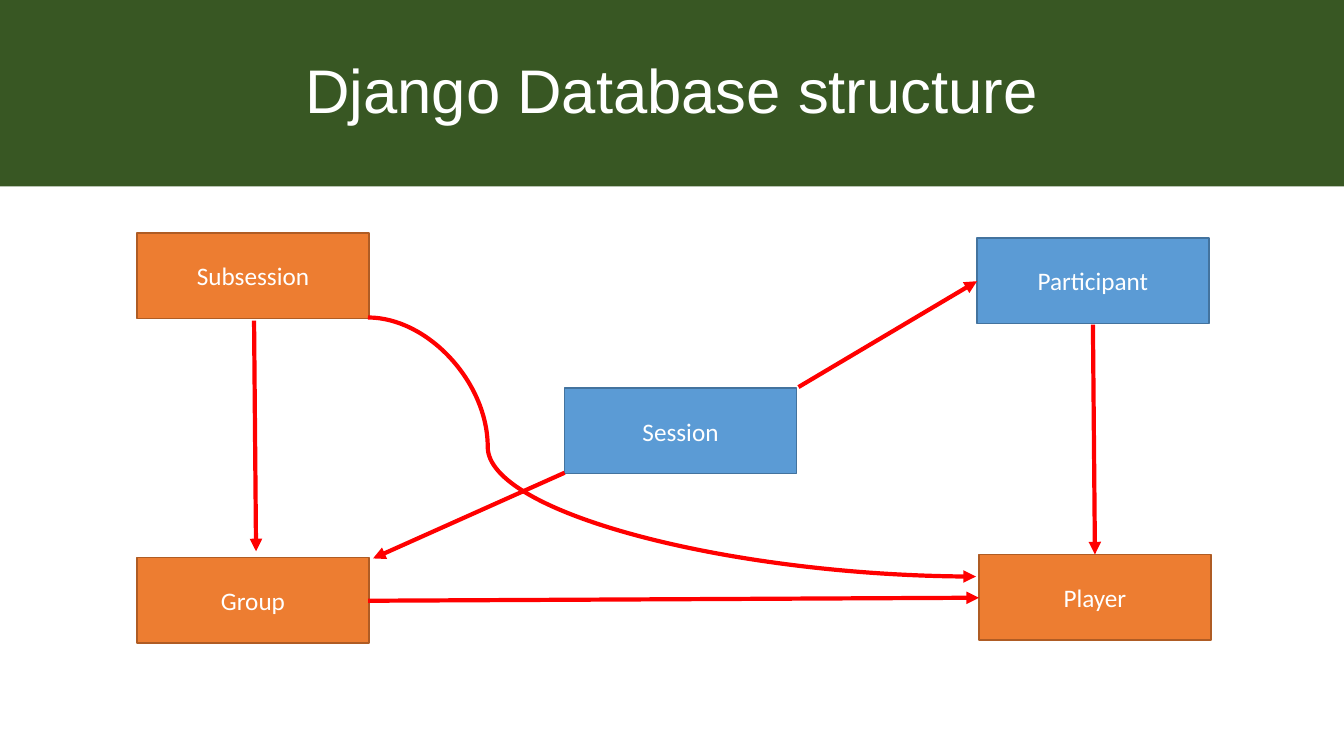
"""Build the Django database structure slide."""
from dataclasses import dataclass
from typing import Any, Optional

from lxml.etree import SubElement
from pptx import Presentation
from pptx.dml.color import RGBColor
from pptx.enum.shapes import MSO_CONNECTOR, MSO_SHAPE
from pptx.enum.text import MSO_ANCHOR, PP_ALIGN
from pptx.oxml.ns import qn
from pptx.util import Inches, Pt

COLORS = {
    "green": "385723", "white": "FFFFFF", "red": "FF0000",
    "orange": "ED7D31", "rust": "AF5C24",
    "blue": "5B9BD5", "navy": "43739E",
}
WIDTH, HEIGHT = 13.33, 7.5
BOX_W, BOX_H = 2.3, 0.85


@dataclass(frozen=True)
class Model:
    """A database model box."""
    name: str
    left: float
    top: float
    fill: str
    edge: str


@dataclass(frozen=True)
class Arrow:
    """A link between models, curved when a bend is given."""
    start: tuple[float, float]
    end: tuple[float, float]
    bend: Optional[float] = None


MODELS = [
    Model("Subsession", 1.36, 2.31, "orange", "rust"),
    Model("Player", 9.71, 5.5, "orange", "rust"),
    Model("Session", 5.6, 3.85, "blue", "navy"),
    Model("Participant", 9.69, 2.36, "blue", "navy"),
    Model("Group", 1.36, 5.53, "orange", "rust"),
]
ARROWS = [
    Arrow((7.92, 3.84), (9.69, 2.79)),
    Arrow((10.84, 3.22), (10.86, 5.5)),
    Arrow((3.65, 5.96), (9.71, 5.93)),
    Arrow((2.52, 3.18), (2.54, 5.47)),
    Arrow((5.6, 4.69), (3.7, 5.54)),
    Arrow((3.65, 3.15), (9.68, 5.72), bend=0.197),
]


def color(name: str) -> RGBColor:
    """Look up a named colour."""
    return RGBColor.from_string(COLORS[name])


def write(shape: Any, text: str, *, size: float, font: str,
          ink: str = "white", space: float = 1.0) -> None:
    """Put centred text in a shape."""
    frame = shape.text_frame
    frame.word_wrap = True
    frame.vertical_anchor = MSO_ANCHOR.MIDDLE
    para = frame.paragraphs[0]
    para.alignment = PP_ALIGN.CENTER
    para.line_spacing = space
    run = para.add_run()
    run.text = text
    run.font.size = Pt(size)
    run.font.name = font
    run.font.color.rgb = color(ink)


def paint(shape: Any, name: str) -> None:
    """Fill a shape with a solid colour."""
    shape.fill.solid()
    shape.fill.fore_color.rgb = color(name)


def add_title(slide: Any, text: str) -> None:
    """Turn the title placeholder into the top banner."""
    title = slide.shapes.title
    title.left, title.top = Inches(0), Inches(0)
    title.width, title.height = Inches(WIDTH), Inches(1.85)
    paint(title, "green")
    write(title, text, size=44, font="Arial", space=0.9)


def add_model(slide: Any, model: Model) -> None:
    """Draw a model box."""
    box = slide.shapes.add_shape(
        MSO_SHAPE.RECTANGLE, Inches(model.left), Inches(model.top),
        Inches(BOX_W), Inches(BOX_H))
    box.shadow.inherit = False
    paint(box, model.fill)
    box.line.color.rgb = color(model.edge)
    box.line.width = Pt(1)
    write(box, model.name, size=18, font="Calibri")


def add_arrow(slide: Any, arrow: Arrow) -> None:
    """Draw a red arrow."""
    kind = MSO_CONNECTOR.STRAIGHT if arrow.bend is None else MSO_CONNECTOR.CURVE
    ends = [Inches(value) for value in (*arrow.start, *arrow.end)]
    link = slide.shapes.add_connector(kind, *ends)
    link.line.color.rgb = color("red")
    link.line.width = Pt(3)
    props = link.element.spPr
    SubElement(props.find(qn("a:ln")), qn("a:tailEnd"), type="triangle")
    SubElement(props, qn("a:effectLst"))
    if arrow.bend is not None:
        guides = props.find(qn("a:prstGeom")).find(qn("a:avLst"))
        SubElement(guides, qn("a:gd"), name="adj1",
                   fmla=f"val {round(arrow.bend * 100000)}")


def main() -> None:
    """Build and save the deck."""
    deck = Presentation()
    deck.slide_width, deck.slide_height = Inches(WIDTH), Inches(HEIGHT)
    slide = deck.slides.add_slide(deck.slide_layouts.get_by_name("Title Only"))
    add_title(slide, "Django Database structure")
    for model in MODELS:
        add_model(slide, model)
    for arrow in ARROWS:
        add_arrow(slide, arrow)
    deck.save("out.pptx")


if __name__ == "__main__":
    main()
